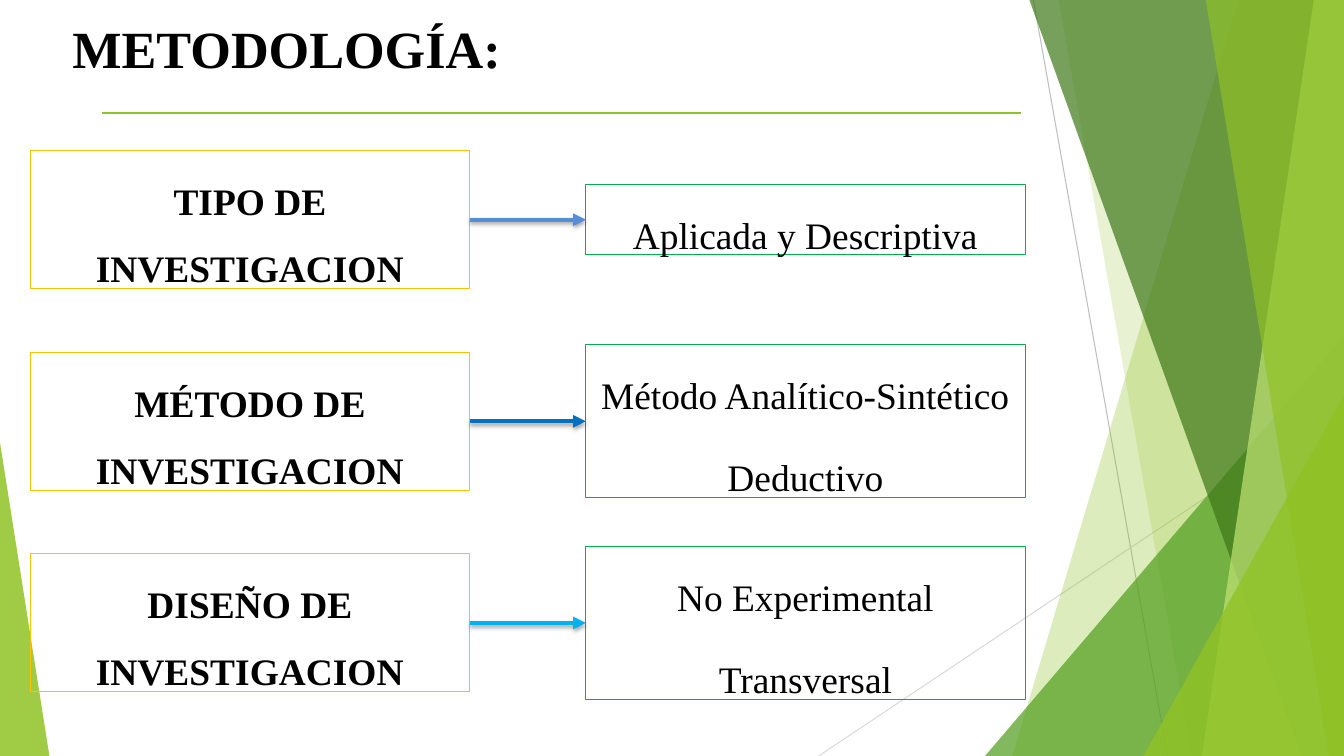
from lxml import etree
from pptx import Presentation
from pptx.dml.color import RGBColor
from pptx.enum.shapes import MSO_CONNECTOR, MSO_SHAPE
from pptx.enum.text import MSO_ANCHOR, MSO_AUTO_SIZE, PP_ALIGN
from pptx.oxml.ns import qn
from pptx.util import Inches, Pt

STRAIGHT = MSO_CONNECTOR.STRAIGHT
RECTANGLE = MSO_SHAPE.RECTANGLE
CENTER = PP_ALIGN.CENTER
TOP, BOTTOM = MSO_ANCHOR.TOP, MSO_ANCHOR.BOTTOM
GROW = MSO_AUTO_SIZE.SHAPE_TO_FIT_TEXT

WIDTH, HEIGHT = 13.33, 7.5
FONT = "Times New Roman"
BLACK, LIME, AMBER, GREEN = "000000", "90C225", "FFC000", "00B050"

RIBBONS = [
    ([(WIDTH, 0), (12.28, 0), (10.04, HEIGHT), (WIDTH, HEIGHT)], LIME, 30),
    ([(WIDTH, 0), (10.5, 0), (11.82, HEIGHT), (WIDTH, HEIGHT)], LIME, 20),
    ([(WIDTH, 3.33), (9.77, HEIGHT), (WIDTH, HEIGHT)], "539F20", 72),
    ([(WIDTH, 0), (10.21, 0), (12.91, HEIGHT), (WIDTH, HEIGHT)], "3E7818", 70),
    ([(WIDTH, 0), (13.03, 0), (11.92, HEIGHT), (WIDTH, HEIGHT)], "C0E374", 70),
    ([(WIDTH, 0), (11.96, 0), (13.18, HEIGHT), (WIDTH, HEIGHT)], LIME, 65),
    ([(WIDTH, 3.92), (11.34, HEIGHT), (WIDTH, HEIGHT)], LIME, 80),
    ([(0, 4.39), (0, HEIGHT), (0.49, HEIGHT)], LIME, 85),
]

ROWS = [
    ("TIPO DE INVESTIGACION", ["Aplicada y Descriptiva"], 0.69, "558ED5"),
    ("MÉTODO DE INVESTIGACION", ["Método Analítico-Sintético", "Deductivo"], 1.52, "0070C0"),
    ("DISEÑO DE INVESTIGACION", ["No Experimental", "Transversal"], 1.52, "00B0F0"),
]


def color(value):
    return RGBColor.from_string(value)


def add_line(page, start, end, line_color, weight):
    line = page.shapes.add_connector(STRAIGHT, *map(Inches, start + end))
    line.line.color.rgb = color(line_color)
    line.line.width = Pt(weight)
    effects = etree.SubElement(line._element.spPr, qn("a:effectLst"))
    return line, effects


def add_arrow(page, start, end, line_color):
    arrow, effects = add_line(page, start, end, line_color, 3)
    etree.SubElement(arrow.line._get_or_add_ln(), qn("a:tailEnd"), type="triangle")
    shadow = etree.SubElement(effects, qn("a:outerShdw"), blurRad=str(Pt(3.1)),
                              dist=str(Pt(1.8)), dir="5400000", rotWithShape="0")
    tint = etree.SubElement(shadow, qn("a:srgbClr"), val=BLACK)
    etree.SubElement(tint, qn("a:alpha"), val="35000")


def add_ribbon(page, points, fill_color, opacity):
    corners = [(Inches(x), Inches(y)) for x, y in points]
    builder = page.shapes.build_freeform(*corners[0])
    builder.add_line_segments(corners[1:], close=True)
    ribbon = builder.convert_to_shape()
    ribbon.shadow.inherit = False
    ribbon.line.fill.background()
    ribbon.fill.solid()
    ribbon.fill.fore_color.rgb = color(fill_color)
    tint = ribbon._element.spPr.find(".//" + qn("a:srgbClr"))
    etree.SubElement(tint, qn("a:alpha"), val=str(opacity * 1000))


def add_backdrop(page):
    add_line(page, (10.25, 0), (11.58, HEIGHT), "BEBEBE", 0.75)
    add_line(page, (WIDTH, 4.02), (8.12, HEIGHT), "D9D9D9", 0.75)
    for points, fill_color, opacity in RIBBONS:
        add_ribbon(page, points, fill_color, opacity)
    add_line(page, (1.01, 1.12), (10.13, 1.12), LIME, 1.5)


def write(para, text, size, bold):
    para.text = text
    para.alignment = CENTER
    para.font.name = FONT
    para.font.size = Pt(size)
    para.font.bold = bold
    para.font.color.rgb = color(BLACK)


def add_title(page, left, top, width, height):
    title = page.shapes.add_textbox(*map(Inches, (left, top, width, height)))
    frame = title.text_frame
    frame.word_wrap = True
    frame.vertical_anchor = BOTTOM
    frame.margin_left = frame.margin_right = Inches(0.13)
    frame.margin_top = frame.margin_bottom = Inches(0.13)
    write(frame.paragraphs[0], "METODOLOGÍA:", 37.3, True)


def add_box(page, left, middle, width, height, lines, border, bold):
    box = page.shapes.add_shape(
        RECTANGLE, *map(Inches, (left, middle - height / 2, width, height)))
    box.shadow.inherit = False
    box.fill.background()
    box.line.color.rgb = color(border)
    box.line.width = Pt(0.75)
    frame = box.text_frame
    frame.word_wrap = True
    frame.auto_size = GROW
    frame.vertical_anchor = TOP
    for index, text in enumerate(lines):
        para = frame.add_paragraph() if index else frame.paragraphs[0]
        write(para, text, 26.7, bold)
        para.line_spacing = 1.5
        para.space_after = Pt(10.7)


def add_method_rows(page, left, middle, box_width, gap, step):
    answer_left = left + box_width + gap
    for index, (topic, answer, answer_height, arrow_color) in enumerate(ROWS):
        y = middle + index * step
        add_box(page, left, y, box_width, 1.37, [topic], AMBER, True)
        add_box(page, answer_left, y, box_width, answer_height, answer, GREEN, False)
        add_arrow(page, (left + box_width, y), (answer_left, y), arrow_color)


def main():
    deck = Presentation()
    deck.slide_width, deck.slide_height = Inches(WIDTH), Inches(HEIGHT)
    page = deck.slides.add_slide(deck.slide_layouts[6])
    add_backdrop(page)
    add_title(page, 0.26, 0.15, 5.17, 0.76)
    add_method_rows(page, 0.3, 2.18, 4.36, 1.15, 2)
    deck.save("out.pptx")


if __name__ == "__main__":
    main()
